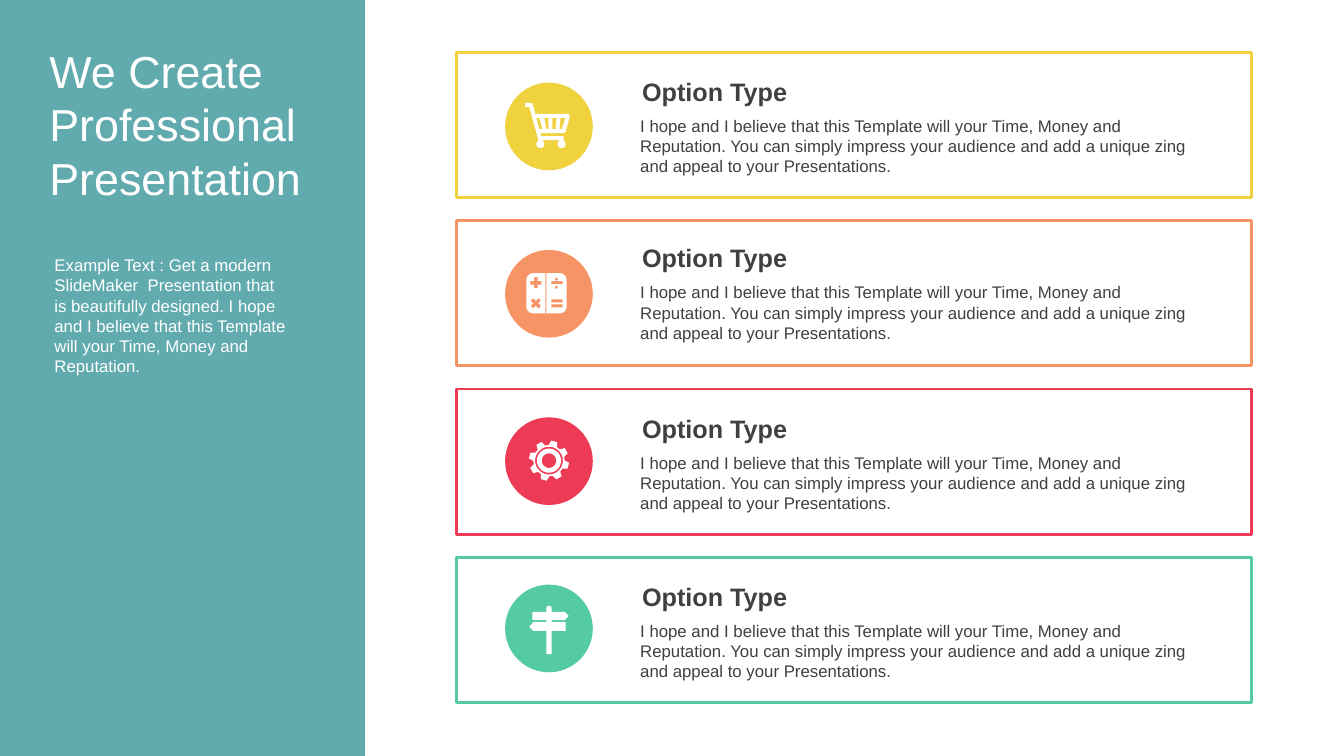
from math import cos, radians, sin

from pptx import Presentation
from pptx.dml.color import RGBColor
from pptx.enum.shapes import MSO_SHAPE as Preset
from pptx.oxml.ns import qn
from pptx.util import Inches, Pt
from lxml.etree import SubElement

COLORS = {
    "panel": "1F878D", "white": "FFFFFF", "text": "404040",
    "yellow": "F0D23F", "orange": "F79465", "red": "ED3B55", "green": "54CBA0",
}
INTRO = ("Example Text : Get a modern SlideMaker  Presentation that is beautifully designed. "
         "I hope and I believe that this Template will your Time, Money and Reputation.")
BODY = ("I hope and I believe that this Template will your Time, Money and Reputation. "
        "You can simply impress your audience and add a unique zing and appeal to your Presentations.")


def polar(x, y, radius, degrees):
    return x + radius * cos(radians(degrees)), y + radius * sin(radians(degrees))


def circle(x, y, radius):
    return [polar(x, y, radius, degrees) for degrees in range(0, 360, 10)]


def box(left, top, right, bottom):
    return [(left, top), (right, top), (right, bottom), (left, bottom)]


def rounded_box(left, top, right, bottom, radius):
    corners = [(right - radius, bottom - radius), (left + radius, bottom - radius),
               (left + radius, top + radius), (right - radius, top + radius)]
    return [polar(x, y, radius, 90 * index + step)
            for index, (x, y) in enumerate(corners) for step in range(0, 91, 15)]


def plus(x, y, reach, half, turn):
    arm = [(-half, -reach), (half, -reach), (half, -half)]
    points = []
    for quarter in range(4):
        angle = radians(90 * quarter + turn)
        points += [(x + a * cos(angle) - b * sin(angle), y + a * sin(angle) + b * cos(angle))
                   for a, b in arm]
    return points


def cart_icon():
    frame = [(5.21, 1.02), (5.28, 1.02), (5.31, 1.13), (5.63, 1.13), (5.65, 1.14), (5.65, 1.16),
             (5.61, 1.31), (5.59, 1.32), (5.36, 1.32), (5.37, 1.35), (5.59, 1.35), (5.59, 1.39),
             (5.34, 1.39), (5.25, 1.06), (5.21, 1.06)]
    slots = [(5.32, 5.35, 5.38, 5.35), (5.4, 5.42, 5.44, 5.44),
             (5.48, 5.48, 5.51, 5.52), (5.56, 5.55, 5.57, 5.61)]
    holes = [list(zip(slot, (1.17, 1.28, 1.28, 1.17))) for slot in slots]
    return [frame, *holes, circle(5.36, 1.43, 0.04), circle(5.57, 1.43, 0.04)]


def calculator_icon():
    bars = [box(5.47, top, 5.58, top + 0.03) for top in (2.79, 2.97, 3.02)]
    dots = [circle(5.52, y, 0.015) for y in (2.77, 2.85)]
    return [rounded_box(5.22, 2.71, 5.62, 3.11, 0.07), box(5.41, 2.71, 5.42, 3.11),
            box(5.22, 2.91, 5.62, 2.915), *bars, *dots,
            plus(5.315, 2.805, 0.055, 0.018, 0), plus(5.315, 3.01, 0.055, 0.018, 45)]


def gear_icon():
    center = (5.445, 4.57)
    teeth = [polar(*center, radius, 45 * tooth - 75 + offset) for tooth in range(8)
             for radius, offset in ((0.155, -16), (0.2, -8.5), (0.2, 8.5), (0.155, 16))]
    return [teeth] + [circle(*center, radius) for radius in (0.138, 0.12, 0.072)]


def signpost_icon():
    return [[(5.42, 6.03), (5.43, 6.01), (5.46, 6.01), (5.47, 6.03), (5.47, 6.07), (5.6, 6.07),
             (5.64, 6.11), (5.6, 6.15), (5.47, 6.15), (5.47, 6.17), (5.61, 6.17), (5.61, 6.26),
             (5.47, 6.26), (5.47, 6.49), (5.42, 6.49), (5.42, 6.26), (5.29, 6.26), (5.25, 6.22),
             (5.29, 6.17), (5.42, 6.17), (5.42, 6.15), (5.28, 6.15), (5.28, 6.07), (5.42, 6.07)]]


class OptionSlide:
    """Holds the style and the current slide, and draws its elements."""

    font = "Arial"

    def __init__(self, presentation):
        self.slide = presentation.slides.add_slide(presentation.slide_layouts[6])
        self.shapes = self.slide.shapes

    def color(self, name):
        return RGBColor.from_string(COLORS[name])

    def shape(self, preset, bounds, fill=None, line=None, alpha=None):
        shape = self.shapes.add_shape(preset, *map(Inches, bounds))
        self.paint(shape, fill, line)
        if alpha:
            tint = shape.fill._xPr.find(qn("a:solidFill"))[0]
            SubElement(tint, qn("a:alpha"), val=str(alpha * 1000))

    def paint(self, shape, fill=None, line=None):
        shape.shadow.inherit = False
        if fill:
            shape.fill.solid()
            shape.fill.fore_color.rgb = self.color(fill)
        else:
            shape.fill.background()
        if line:
            shape.line.color.rgb = self.color(line)
            shape.line.width = Pt(2)
        else:
            shape.line.fill.background()

    def icon(self, contours):
        outlines = [[(Inches(x), Inches(y)) for x, y in contour] for contour in contours]
        builder = self.shapes.build_freeform(*outlines[0][0])
        for outline in outlines:
            builder.move_to(*outline[0])
            builder.add_line_segments(outline[1:], close=True)
        self.paint(builder.convert_to_shape(), "white")

    def text(self, bounds, lines, size, color, insets, bold=False):
        frame = self.shapes.add_textbox(*map(Inches, bounds)).text_frame
        frame.word_wrap = True
        (frame.margin_left, frame.margin_top,
         frame.margin_right, frame.margin_bottom) = map(Inches, insets)
        frame.text = "\n".join(lines)
        for paragraph in frame.paragraphs:
            paragraph.font.name = self.font
            paragraph.font.size = Pt(size)
            paragraph.font.bold = bold
            paragraph.font.color.rgb = self.color(color)


def main():
    presentation = Presentation()
    presentation.slide_width, presentation.slide_height = Inches(13.33), Inches(7.5)
    slide = OptionSlide(presentation)
    body_insets = (0.08, 0.05, 0.12, 0.05)

    slide.shape(Preset.RECTANGLE, (0, 0, 3.62, 7.5), fill="panel", alpha=70)
    slide.text((0.46, 2.48, 2.55, 1.31), [INTRO], 12, "white", body_insets)
    slide.text((0.41, 0.43, 3.35, 1.62), ["We Create", "Professional Presentation"],
               32, "white", (0.08, 0, 0.04, 0))

    options = [("yellow", 0.71, cart_icon), ("orange", 2.36, calculator_icon),
               ("red", 4.05, gear_icon), ("green", 5.72, signpost_icon)]
    for index, (color, title_top, icon) in enumerate(options):
        slide.shape(Preset.RECTANGLE, (4.53, 0.52 + 1.67 * index, 7.88, 1.44), line=color)
        slide.shape(Preset.OVAL, (5.01, 0.82 + 1.66 * index, 0.87, 0.87), fill=color)
        slide.text((6.27, title_top, 5.76, 0.4), ["Option Type"], 18, "text",
                   (0.1, 0.05, 0.12, 0.05), bold=True)
        slide.text((6.27, title_top + 0.39, 5.76, 0.71), [BODY], 12, "text", body_insets)
        slide.icon(icon())
    presentation.save("out.pptx")


if __name__ == "__main__":
    main()
